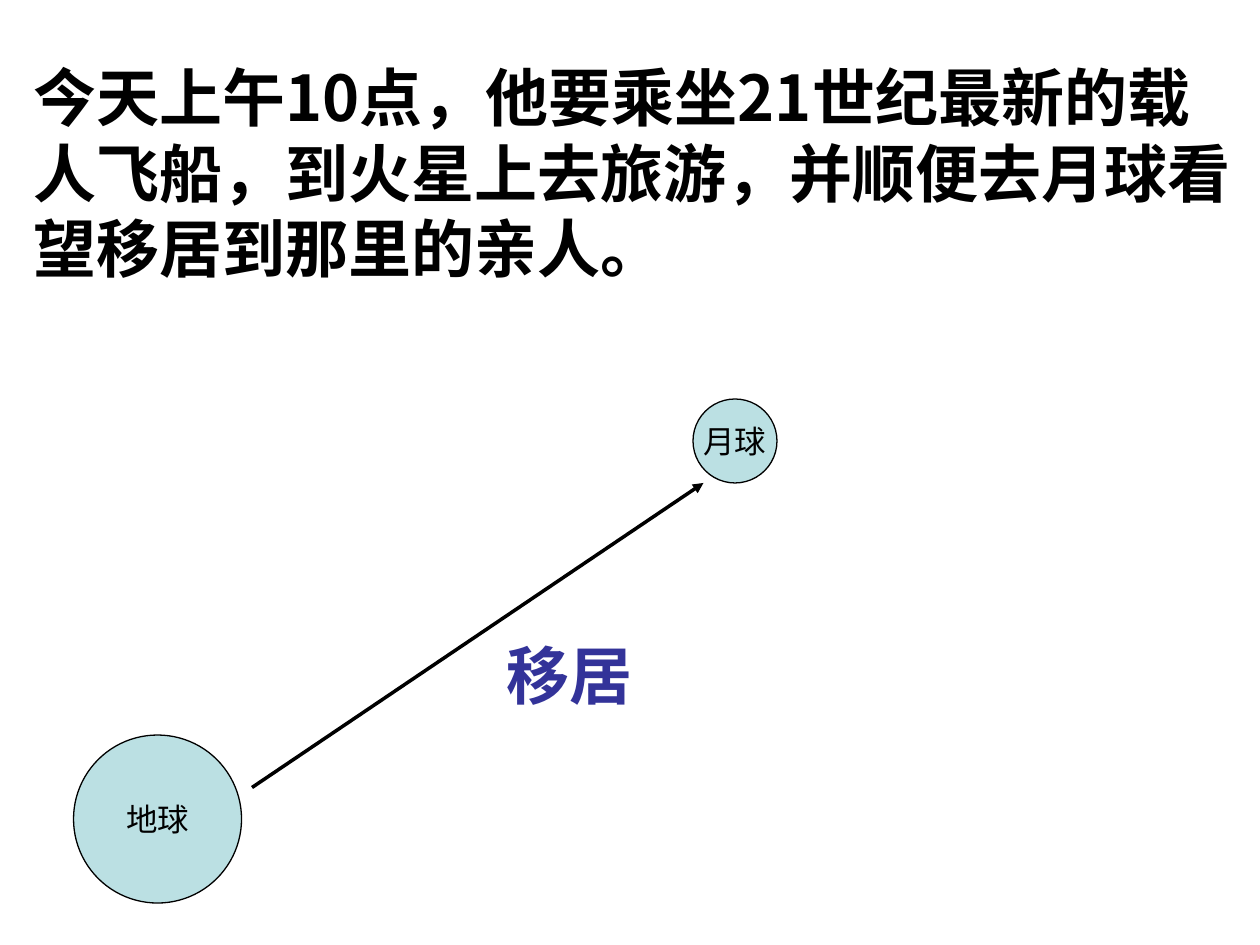
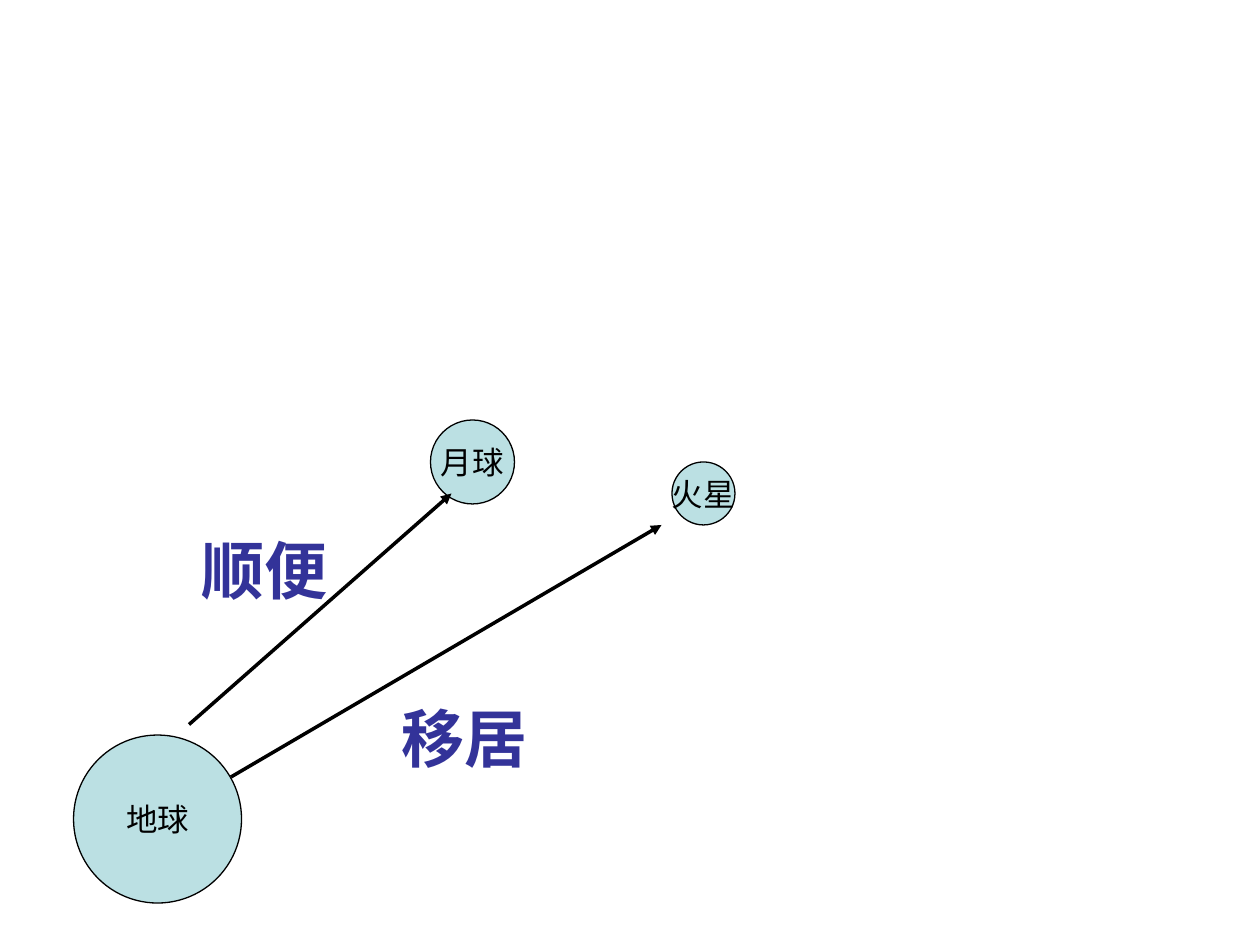
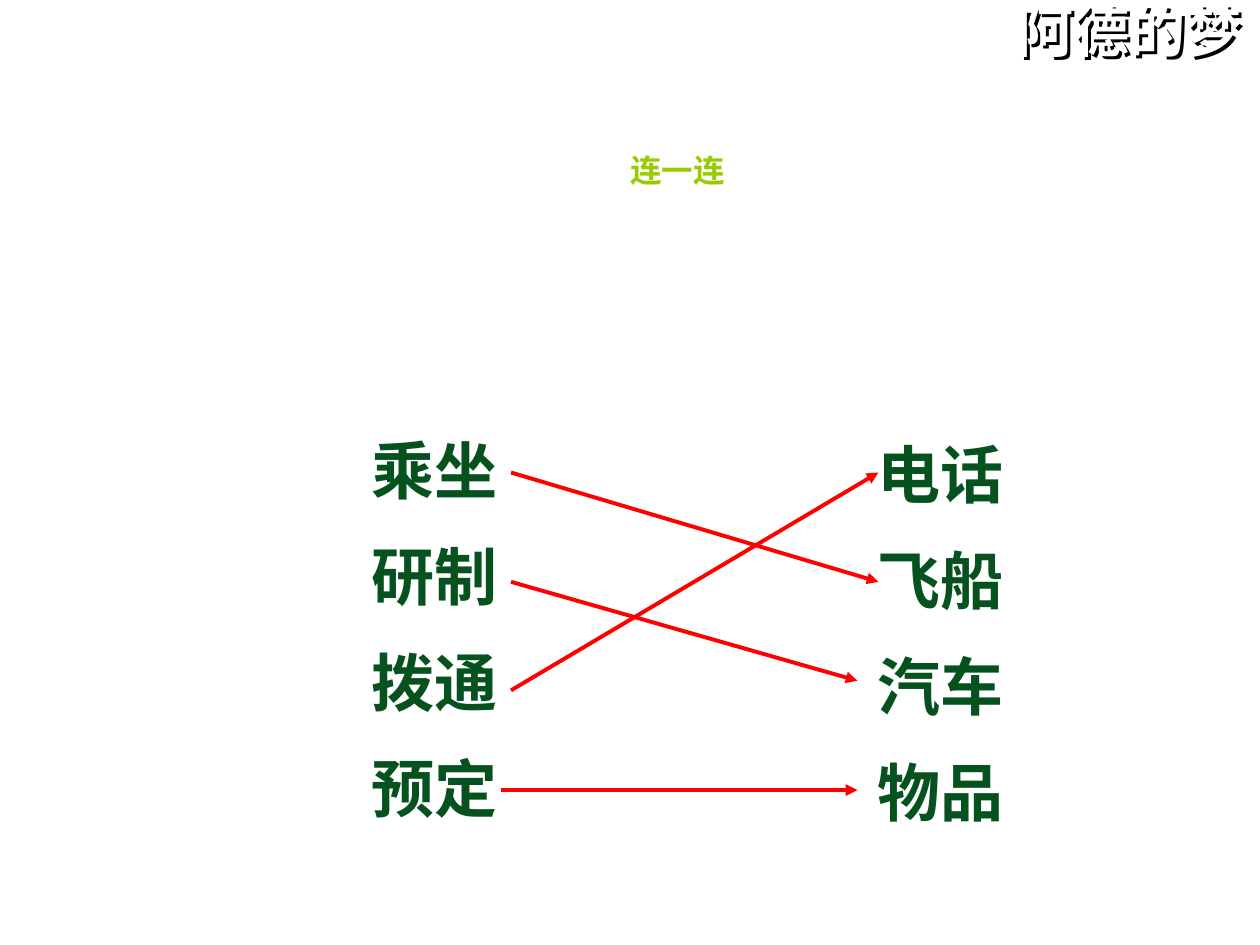
"""Build three slides on a space trip: two planet diagrams and a word-matching exercise."""
import pptx
import pptx.util
import pptx.dml.color
import pptx.enum.shapes
import pptx.enum.text
import pptx.oxml.ns
from lxml import etree

Pt = pptx.util.Pt
RGBColor = pptx.dml.color.RGBColor
PP_ALIGN = pptx.enum.text.PP_ALIGN
qn = pptx.oxml.ns.qn

BLACK = RGBColor(0x00, 0x00, 0x00)
WHITE = RGBColor(0xFF, 0xFF, 0xFF)
RED = RGBColor(0xFF, 0x00, 0x00)
PLANET = RGBColor(0xBB, 0xE0, 0xE3)
INDIGO = RGBColor(0x33, 0x33, 0x99)
FOREST = RGBColor(0x06, 0x52, 0x1E)
LIME = RGBColor(0x99, 0xCC, 0x00)

LATIN = "Arial"
CJK = "Noto Sans CJK SC"
LABEL_SIZE = (86.4, 50.4)
SHADOW_OFFSET = 1.5
EARTH = ("地球", 42, 420, 96)


def style_paragraph(p, size, color, name=CJK, bold=True):
    """Set the font of a whole paragraph, East Asian face included."""
    p.font.size = Pt(size)
    p.font.bold = bold
    p.font.color.rgb = color
    p.font.name = name
    latin = p._p.pPr.find(qn("a:defRPr")).find(qn("a:latin"))
    ea = etree.Element(qn("a:ea"), typeface=CJK)
    latin.addnext(ea)


def add_text(slide, lines, left, top, width, height, size=36, color=BLACK,
             name=CJK, wrap=False, spacing=None, align=PP_ALIGN.LEFT):
    """Add a bold text box with one paragraph per line."""
    tf = slide.shapes.add_textbox(Pt(left), Pt(top), Pt(width), Pt(height)).text_frame
    tf.word_wrap = wrap
    tf.text = "\n".join(lines)
    for p in tf.paragraphs:
        p.alignment = align
        if spacing:
            p.line_spacing = spacing
        style_paragraph(p, size, color, name)


def add_label(slide, text, left, top):
    """Add the indigo word that names a journey."""
    add_text(slide, [text], left, top, *LABEL_SIZE, color=INDIGO)


def add_shadowed_title(slide, text, left, top, width, height):
    """Add a white title over its black drop shadow."""
    for offset, color in ((SHADOW_OFFSET, BLACK), (0, WHITE)):
        add_text(slide, [text], left + offset, top + offset, width, height,
                 size=32, color=color, name=LATIN, spacing=0.8)


def add_planet(slide, text, left, top, diameter):
    """Add a named circle."""
    sp = slide.shapes.add_shape(pptx.enum.shapes.MSO_SHAPE.OVAL,
                                Pt(left), Pt(top), Pt(diameter), Pt(diameter))
    sp.shadow.inherit = False
    sp.fill.solid()
    sp.fill.fore_color.rgb = PLANET
    sp.line.color.rgb = BLACK
    sp.line.width = Pt(0.75)
    tf = sp.text_frame
    tf.word_wrap = False
    tf.vertical_anchor = pptx.enum.text.MSO_ANCHOR.MIDDLE
    tf.text = text
    p = tf.paragraphs[0]
    p.alignment = PP_ALIGN.CENTER
    style_paragraph(p, 18, BLACK, LATIN, bold=False)


def add_arrow(slide, x1, y1, x2, y2, color=BLACK, width=2):
    """Add a straight line that ends in a triangle."""
    line = slide.shapes.add_connector(pptx.enum.shapes.MSO_CONNECTOR.STRAIGHT,
                                      Pt(x1), Pt(y1), Pt(x2), Pt(y2))
    line.line.color.rgb = color
    line.line.width = Pt(width)
    etree.SubElement(line._element.spPr.find(qn("a:ln")), qn("a:tailEnd"), type="triangle")
    etree.SubElement(line._element.spPr, qn("a:effectLst"))


def build_moon_trip(slide):
    """Build the sentence and the move from Earth to the Moon."""
    add_text(slide, ["今天上午10点，他要乘坐21世纪最新的载人飞船，到火星上去旅游，"
                     "并顺便去月球看望移居到那里的亲人。"], 12, 30, 708, 137, wrap=True)
    add_planet(slide, *EARTH)
    add_planet(slide, "月球", 396, 228, 48)
    add_arrow(slide, 144, 450, 402, 276)
    add_label(slide, "移居", 282.5, 360)


def build_mars_trip(slide):
    """Build the journeys from Earth to the Moon and to Mars."""
    add_planet(slide, *EARTH)
    add_planet(slide, "月球", 246, 240, 48)
    add_arrow(slide, 108, 414, 258, 282)
    add_label(slide, "移居", 222.5, 396)
    add_planet(slide, "火星", 384, 264, 36)
    add_arrow(slide, 132, 444, 378, 300)
    add_label(slide, "顺便", 108, 300)


def build_matching(slide):
    """Build the exercise that joins verbs to nouns."""
    columns = [
        (["乘坐", "研制", "拨通", "预定"], 205.2, 226),
        (["电话", "飞船", "汽车", "物品"], 494.6, 228.2),
    ]
    for words, left, top in columns:
        add_text(slide, words, left, top, LABEL_SIZE[0], 249, color=FOREST, spacing=1.4)
    matches = [
        (292, 270, 502, 332.5),
        (292, 332.5, 490, 389),
        (292, 394.5, 502, 270),
        (286.5, 451.5, 490, 451.5),
    ]
    for ends in matches:
        add_arrow(slide, *ends, color=RED, width=2.25)
    add_shadowed_title(slide, "阿德的梦", 574.5, 2, 142.5, 38)
    add_text(slide, ["连一连"], 303, 83, 168.5, 72, size=18, color=LIME,
             align=PP_ALIGN.CENTER)


def main():
    """Build and save the presentation."""
    prs = pptx.Presentation()
    prs.slide_width, prs.slide_height = Pt(720), Pt(540)
    for build in (build_moon_trip, build_mars_trip, build_matching):
        build(prs.slides.add_slide(prs.slide_layouts[6]))
    prs.save("out.pptx")


if __name__ == "__main__":
    main()
